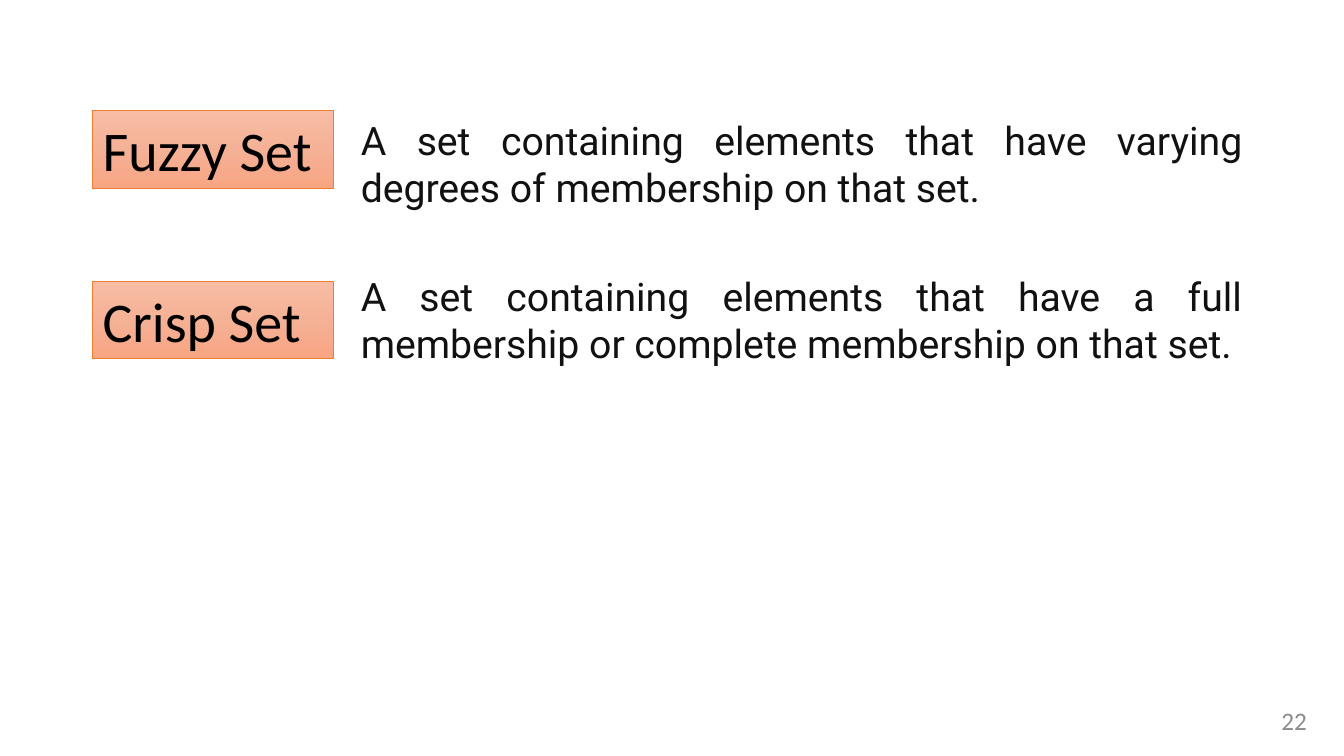
from copy import deepcopy
from pptx import Presentation
from pptx.dml.color import RGBColor
from pptx.enum.shapes import MSO_SHAPE
from pptx.enum.text import MSO_ANCHOR, PP_ALIGN
from pptx.oxml.ns import qn
from pptx.util import Inches, Pt

RECT = MSO_SHAPE.RECTANGLE
TOP, MIDDLE = MSO_ANCHOR.TOP, MSO_ANCHOR.MIDDLE
LEFT, RIGHT, JUSTIFY = PP_ALIGN.LEFT, PP_ALIGN.RIGHT, PP_ALIGN.JUSTIFY

DEFINITIONS = [
    ("Fuzzy Set", 1.1,
     "A set containing elements that have varying degrees of membership on that set.", 1.1),
    ("Crisp Set", 2.79,
     "A set containing elements that have a full membership or complete membership on that set.", 2.65),
]
PAGE_NUMBER = "22"
GRADIENT = [(0, "F7BDA5"), (0.5, "F5B196"), (1, "F8A582")]
OUTLINE = "ED7D31"
TERM = {"name": "Calibri", "size": Pt(40), "color": "000000"}
MEANING = {"name": "Roboto", "size": Pt(28), "color": "111111"}
NUMBER = {"name": "Calibri", "size": Pt(18), "color": "8C8C8C"}


def rgb(value):
    return RGBColor.from_string(value)


def write(sp, text, style, align, anchor=TOP):
    tf = sp.text_frame
    tf.word_wrap = True
    tf.vertical_anchor = anchor
    p = tf.paragraphs[0]
    p.alignment = align
    r = p.add_run()
    r.text = text
    for key, value in style.items():
        if key == "color":
            r.font.color.rgb = rgb(value)
        else:
            setattr(r.font, key, value)


def paint(sp):
    sp.shadow.inherit = False
    sp.line.color.rgb = rgb(OUTLINE)
    sp.line.width = Pt(0.5)
    fill = sp.fill
    fill.gradient()
    fill.gradient_angle = 270
    stops = sp._element.spPr.find(qn("a:gradFill")).find(qn("a:gsLst"))
    stops.insert(1, deepcopy(stops[0]))
    for stop, (position, color) in zip(fill.gradient_stops, GRADIENT):
        stop.position = position
        stop.color.rgb = rgb(color)


def box(left, top, width, height):
    return [Inches(v) for v in (left, top, width, height)]


prs = Presentation()
prs.slide_width, prs.slide_height = Inches(13.33), Inches(7.5)
s = prs.slides.add_slide(prs.slide_layouts[6])

for term, term_top, meaning, meaning_top in DEFINITIONS:
    sp = s.shapes.add_shape(RECT, *box(0.92, term_top, 2.39, 0.77))
    paint(sp)
    write(sp, term, TERM, LEFT)
    write(s.shapes.add_textbox(*box(3.48, meaning_top, 8.94, 1.04)), meaning, MEANING, JUSTIFY)

write(s.shapes.add_textbox(*box(12.24, 6.95, 0.82, 0.4)), PAGE_NUMBER, NUMBER, RIGHT, MIDDLE)

prs.save("out.pptx")
